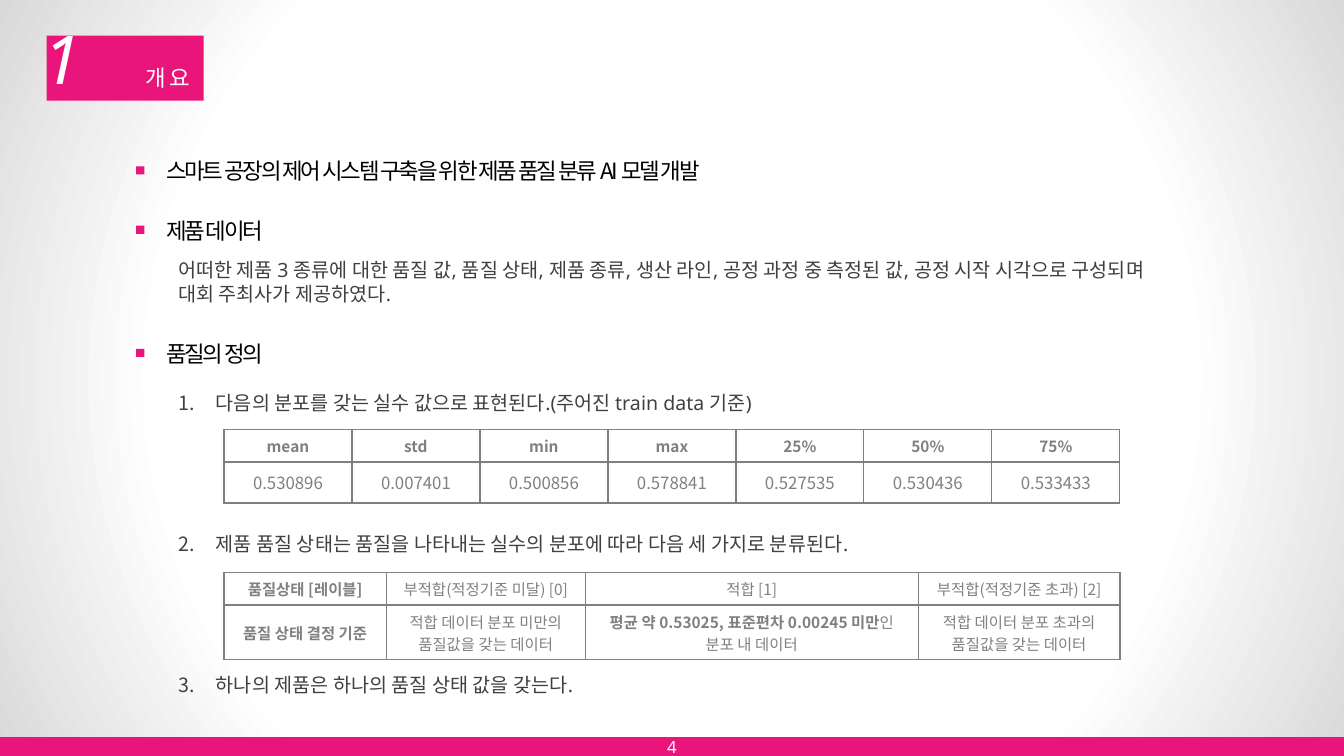
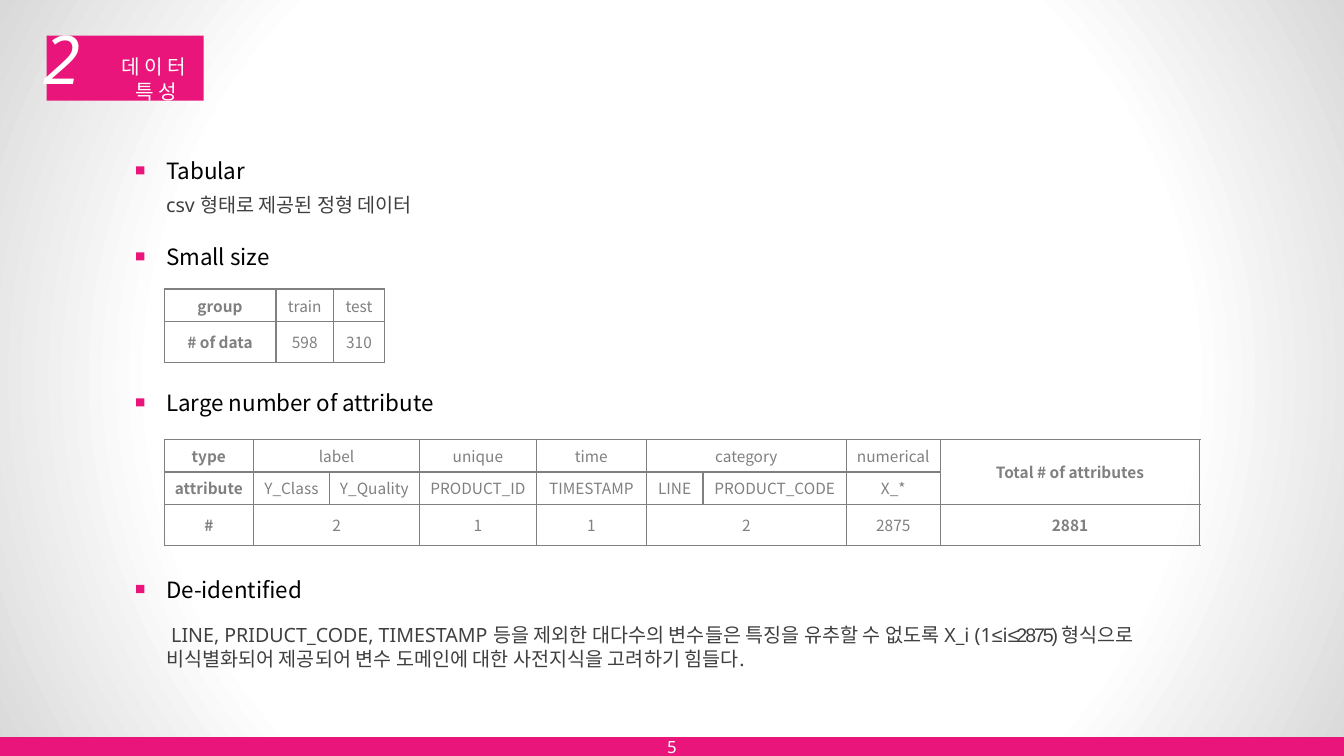
from lxml import etree
from pptx import Presentation
from pptx.dml.color import RGBColor
from pptx.enum.shapes import MSO_SHAPE
from pptx.enum.text import MSO_ANCHOR, PP_ALIGN
from pptx.oxml.ns import qn
from pptx.util import Pt

RECT = MSO_SHAPE.RECTANGLE
TOP, MID = MSO_ANCHOR.TOP, MSO_ANCHOR.MIDDLE
LEFT, MIDDLE = PP_ALIGN.LEFT, PP_ALIGN.CENTER
HUE = {"pink": "EA157A", "white": "FFFFFF", "edge": "D9D9D9",
       "black": "000000", "body": "404040", "grey": "808080"}
SANS, KOR, ARIAL = "Noto Sans", "Noto Sans CJK KR", "Arial"
WIDE, HIGH = 960, 540


def sub(node, tag, **attrs):
    return etree.SubElement(node, qn(tag), {k: str(v) for k, v in attrs.items()})


def color(name):
    return RGBColor.from_string(HUE[name])


def style(run, size=14, face=SANS, hue="body", bold=False, slant=False, track=0):
    font = run.font
    font.size, font.name = Pt(size), face
    font.bold, font.italic = bold, slant
    font.color.rgb = color(hue)
    props = run._r.get_or_add_rPr()
    props.set("spc", str(int(track * 100)))
    sub(props, "a:ea", typeface=KOR)


def write(frame, text, align=LEFT, lead=None, gap=0, count=False, **fmt):
    """Text is a string or a list of paragraphs; a paragraph is a string or a list of (text, format)."""
    paras = [text] if isinstance(text, str) else text
    for i, item in enumerate(paras):
        para = frame.add_paragraph() if i else frame.paragraphs[0]
        para.alignment = align
        if lead:
            para.line_spacing = Pt(lead)
        if i and gap:
            para.space_before = Pt(gap)
        if count:
            props = para._p.get_or_add_pPr()
            props.set("marL", str(Pt(27)))
            props.set("indent", str(Pt(-27)))
            sub(props, "a:buFont", typeface="+mj-lt")
            sub(props, "a:buAutoNum", type="arabicPeriod")
        for words, extra in [(item, {})] if isinstance(item, str) else item:
            run = para.add_run()
            run.text = words
            style(run, **{**fmt, **extra})


def label(slide, box, text, anchor=MID, **fmt):
    frame = slide.shapes.add_textbox(*map(Pt, box)).text_frame
    frame.word_wrap = True
    frame.vertical_anchor = anchor
    write(frame, text, **fmt)


def block(slide, box):
    shape = slide.shapes.add_shape(RECT, *map(Pt, box))
    shape.shadow.inherit = False
    shape.fill.solid()
    shape.fill.fore_color.rgb = color("pink")
    shape.line.fill.background()


def backdrop(master):
    # Radial gradient, white in the centre and grey at the rim
    master.background.fill.gradient()
    grad = next(master.element.iter(qn("a:gradFill")))
    for child in list(grad):
        grad.remove(child)
    stops = sub(grad, "a:gsLst")
    for pos, name in ((0, "white"), (67, "white"), (100, "edge")):
        sub(sub(stops, "a:gs", pos=pos * 1000), "a:srgbClr", val=HUE[name])
    half = dict.fromkeys("ltrb", 50000)
    sub(sub(grad, "a:path", path="circle"), "a:fillToRect", **half)


def base(deck, mark, title, page, left, size):
    slide = deck.slides.add_slide(deck.slide_layouts[6])
    # Footer band with page number
    block(slide, (0, 526.5, WIDE, 13.5))
    label(slide, (357, 519, 246, 29), page, align=MIDDLE, size=12, hue="white")
    # Title tag
    block(slide, (33.3, 25.4, 112.2, 46.6))
    label(slide, (8.5, -1.5, 71.5, 85), mark, align=MIDDLE,
          size=48, hue="white", slant=True, track=6)
    label(slide, (left, 39.5, 151 - left, 33), title, align=MIDDLE,
          lead=18, size=size, hue="white", track=3)
    return slide


def head(slide, y, text, track=0):
    block(slide, (97.3, y + 20.2, 5.8, 5.8))
    label(slide, (111.6, y, 448, 46.8), text,
          size=16, face=KOR, hue="black", track=track)


def note(slide, box, text, **fmt):
    label(slide, box, text, anchor=TOP, lead=17, **fmt)


def border(cell):
    props = cell._tc.get_or_add_tcPr()
    for side in "LRTB":
        line = sub(props, f"a:ln{side}", w=Pt(1))
        sub(sub(line, "a:solidFill"), "a:srgbClr", val=HUE["grey"])


def grid(slide, x, y, cols, rows, data, bold, spans=(), last=11):
    frame = slide.shapes.add_table(len(rows), len(cols), Pt(x), Pt(y),
                                   Pt(sum(cols)), Pt(sum(rows)))
    table = frame.table
    table.first_row = table.horz_banding = False
    for col, width in zip(table.columns, cols):
        col.width = Pt(width)
    for row, height in zip(table.rows, rows):
        row.height = Pt(height)
    for r, line in enumerate(data):
        for c, text in enumerate(line):
            cell = table.cell(r, c)
            border(cell)
            cell.fill.background()
            cell.vertical_anchor = MID
            if text:
                write(cell.text_frame, text, align=MIDDLE, face=KOR, hue="grey",
                      size=last if r == len(rows) - 1 else 11, bold=bold(r, c))
    for r, c, down, right in spans:
        table.cell(r, c).merge(table.cell(down, right))


def overview(deck):
    slide = base(deck, "1", "개요", "4", 88.5, 16)
    head(slide, 98.6, "스마트 공장의 제어 시스템 구축을 위한 제품 품질 분류 AI 모델 개발", -1.5)
    # Product data
    head(slide, 141, "제품 데이터", -1.5)
    note(slide, (120.2, 180.7, 839.8, 83.5), [
        "어떠한 제품 3 종류에 대한 품질 값, 품질 상태, 제품 종류, 생산 라인, "
        "공정 과정 중 측정된 값, 공정 시작 시각으로 구성되며",
        "대회 주최사가 제공하였다."])
    # Definition of quality
    head(slide, 229, "품질의 정의", -1.5)
    note(slide, (120.2, 275.8, 598, 255), [
        "다음의 분포를 갖는 실수 값으로 표현된다.(주어진 train data 기준)",
        "제품 품질 상태는 품질을 나타내는 실수의 분포에 따라 다음 세 가지로 분류된다.",
        "하나의 제품은 하나의 품질 상태 값을 갖는다."], gap=83.7, count=True)
    grid(slide, 160, 306.8, [640 / 7] * 7, [23.2, 29.3], [
        ["mean", "std", "min", "max", "25%", "50%", "75%"],
        ["0.530896", "0.007401", "0.500856", "0.578841",
         "0.527535", "0.530436", "0.533433"]],
        lambda r, c: r == 0, last=12)
    grid(slide, 160, 409, [116, 142, 238, 144], [23.2, 39], [
        ["품질상태 [레이블]", "부적합(적정기준 미달) [0]", "적합 [1]",
         "부적합(적정기준 초과) [2]"],
        ["품질 상태 결정 기준", "적합 데이터 분포 미만의 품질값을 갖는 데이터",
         [[("평균 약 0.53025, 표준편차 0.00245 미만", {"bold": True}), ("인", {})],
          "분포 내 데이터"],
         "적합 데이터 분포 초과의 품질값을 갖는 데이터"]],
        lambda r, c: c == 0)


def traits(deck):
    slide = base(deck, "2", "데이터 특성", "5", 72, 14.4)
    head(slide, 98.6, "Tabular")
    note(slide, (111.6, 134, 598, 34.5), "csv 형태로 제공된 정형 데이터")
    # Sample counts
    head(slide, 160, "Small size")
    grid(slide, 117.2, 206.4, [80, 41, 36.5], [23.2, 29.3], [
        ["group", "train", "test"], ["# of data", "598", "310"]],
        lambda r, c: c == 0)
    # Attribute counts
    head(slide, 264.3, "Large number of attribute")
    grid(slide, 117.2, 313.9,
         [64, 54, 64.5, 83.5, 78.5, 40.5, 102.5, 67, 185.5], [23.2, 23.2, 29.3], [
             ["type", "label", None, "unique", "time", "category", None,
              "numerical", "Total # of attributes"],
             ["attribute", "Y_Class", "Y_Quality", "PRODUCT_ID", "TIMESTAMP",
              "LINE", "PRODUCT_CODE", "X_*", None],
             ["#", "2", None, "1", "1", "2", None, "2875", "2881"]],
         lambda r, c: c in (0, 8),
         spans=[(0, 1, 0, 2), (0, 5, 0, 6), (0, 8, 1, 8), (2, 1, 2, 2), (2, 5, 2, 6)])
    # Masked names
    head(slide, 397.6, "De-identified")
    tight = {"face": ARIAL, "track": -1.5}
    note(slide, (111.6, 441, 746, 50), [[
        (" LINE, PRIDUCT_CODE, TIMESTAMP 등을 제외한 대다수의 변수들은 "
         "특징을 유추할 수 없도록 X_i (1", {}),
        ("≤", tight), ("i", {}), ("≤2875) ", tight),
        ("형식으로 비식별화되어 제공되어 변수 도메인에 대한 사전지식을 고려하기 힘들다.", {})]])


def main():
    deck = Presentation()
    deck.slide_width, deck.slide_height = Pt(WIDE), Pt(HIGH)
    backdrop(deck.slide_master)
    overview(deck)
    traits(deck)
    deck.save("out.pptx")


if __name__ == "__main__":
    main()
